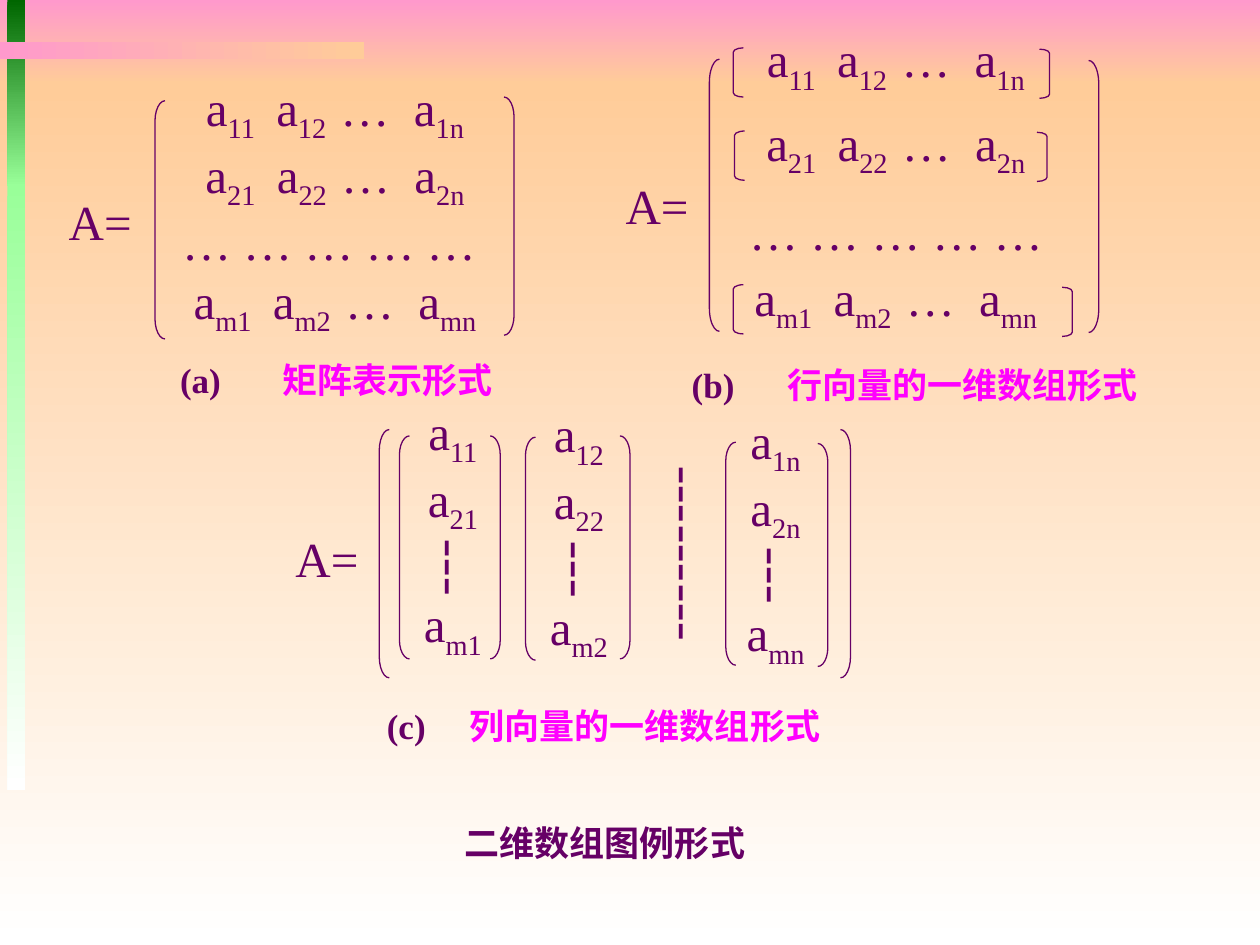
"""Build a slide showing three notations of a two-dimensional array."""
from pptx import Presentation
from pptx.dml.color import RGBColor
from pptx.enum.shapes import MSO_SHAPE
from pptx.enum.text import MSO_ANCHOR, PP_ALIGN
from pptx.util import Inches, Pt

PURPLE = RGBColor(0x66, 0x00, 0x66)
MAGENTA = RGBColor(0xFF, 0x00, 0xFF)
PINK = RGBColor(0xFF, 0x99, 0xCC)
PEACH = RGBColor(0xFF, 0xCC, 0x99)
WHITE = RGBColor(0xFF, 0xFF, 0xFF)
GREEN = RGBColor(0x00, 0x66, 0x00)
LIGHT_GREEN = RGBColor(0x99, 0xFF, 0x99)
SERIF, SANS = "Times New Roman", "Arial"


def add_text(box, wrap, margins):
    tf = s.shapes.add_textbox(*map(Inches, box)).text_frame
    tf.word_wrap = wrap
    tf.vertical_anchor = MSO_ANCHOR.MIDDLE
    tf.margin_left = tf.margin_right = Inches(margins[0])
    tf.margin_top = tf.margin_bottom = Inches(margins[1])
    return tf


def add_run(p, text, size, font, color):
    r = p.add_run()
    r.text = text
    r.font.size = Pt(size)
    r.font.name = font
    r.font.color.rgb = color
    return r


prs = Presentation()
prs.slide_width, prs.slide_height = Inches(10), Inches(7.5)
s = prs.slides.add_slide(prs.slide_layouts[6])

bands = [
    ((0, 0, 10, 0.67), PINK, PEACH, 270),
    ((0, 0.67, 10, 6.83), PEACH, WHITE, 270),
    ((0.06, 0, 0.14, 1.48), GREEN, LIGHT_GREEN, 270),
    ((0.06, 1.46, 0.14, 4.81), LIGHT_GREEN, WHITE, 270),
    ((0, 0.33, 2.89, 0.14), PINK, PEACH, 0),
]
for box, start, end, angle in bands:
    sp = s.shapes.add_shape(MSO_SHAPE.RECTANGLE, *map(Inches, box))
    sp.shadow.inherit = False
    sp.line.fill.background()
    sp.fill.gradient()
    sp.fill.gradient_angle = angle
    for stop, color, position in zip(sp.fill.gradient_stops, (start, end), (0, 1)):
        stop.color.rgb = color
        stop.position = position

bracket_pairs = [
    (1.23, 0.8, 4, 0.77, 1.89),
    (5.63, 0.47, 8.64, 0.48, 2.16),
    (5.82, 0.38, 8.25, 0.39, 0.39),
    (5.83, 1.04, 8.23, 1.05, 0.39),
    (5.82, 2.26, 8.43, 2.28, 0.39),
    (3.17, 3.46, 3.89, 3.46, 1.77),
    (4.17, 3.47, 4.92, 3.46, 1.77),
    (5.76, 3.51, 6.49, 3.52, 1.77),
    (3.01, 3.41, 6.67, 3.41, 1.97),
]
for left, left_top, right, right_top, h in bracket_pairs:
    for kind, x, y in ((MSO_SHAPE.LEFT_BRACKET, left, left_top),
                       (MSO_SHAPE.RIGHT_BRACKET, right, right_top)):
        sp = s.shapes.add_shape(kind, Inches(x), Inches(y), Inches(0.08), Inches(h))
        sp.adjustments[0] = 1.07 * h
        sp.shadow.inherit = False
        sp.fill.background()
        sp.line.color.rgb = PURPLE
        sp.line.width = Pt(0.75)

rows = [f"a|{i}1   |a|{i}2  |…  a|{i}n" for i in "12m"]
dots = "… … … … …"
formulas = [
    ((1.25, 0.68, 2.72, 1.93), [" " + rows[0], " " + rows[1], dots, " " + rows[2]]),
    ((0.5, 1.52, 0.59, 0.47), ["A="]),
    ((4.92, 1.39, 0.59, 0.47), ["A="]),
    ((2.26, 4.13, 0.67, 0.59), ["A="]),
    ((5.86, 1.64, 2.5, 0.39), [dots]),
    ((5.13, 3.49, 0.55, 1.77), ["┆"] * 3),
]
for y, row in zip((0.3, 0.96, 2.19), rows):
    formulas.append(((5.86, y, 2.5, 0.39), [row]))
for j, x, y, h in (("1", 3.26, 3.21, 2.01), ("2", 4.26, 3.23, 2.01), ("n", 5.82, 3.3, 1.97)):
    formulas.append(((x, y, 0.67, h), [f"a|1{j}", f"| |a|2{j} ", "┆ ", f"a|m{j}"]))

for box, lines in formulas:
    tf = add_text(box, False, (0, 0))
    for i, line in enumerate(lines):
        p = tf.paragraphs[0] if i == 0 else tf.add_paragraph()
        p.alignment = PP_ALIGN.CENTER
        for n, part in enumerate(line.split("|")):
            if part:
                r = add_run(p, part, 28, SERIF, PURPLE)
                if n % 2:
                    r.font._element.set("baseline", "-25000")

captions = [
    ((3.09, 6.48, 3.42, 0.42), [("二维数组图", SANS, PURPLE), ("例形式", SERIF, PURPLE)]),
    ((1.17, 2.8, 3, 0.42), [("(a)       ", SERIF, PURPLE), ("矩阵", SERIF, MAGENTA),
                            ("表示形式", SANS, MAGENTA)]),
    ((5.3, 2.84, 3.92, 0.42), [("(b)      ", SERIF, PURPLE),
                               ("行向量的一维数组形式", SERIF, MAGENTA)]),
    ((2.83, 5.55, 3.92, 0.42), [("(c)     ", SERIF, PURPLE),
                                ("列向量的一维数组形式", SANS, MAGENTA)]),
]
for box, parts in captions:
    p = add_text(box, True, (0.1, 0.05)).paragraphs[0]
    p.alignment = PP_ALIGN.CENTER
    for text, font, color in parts:
        add_run(p, text, 20, font, color).font.bold = True

prs.save("out.pptx")
